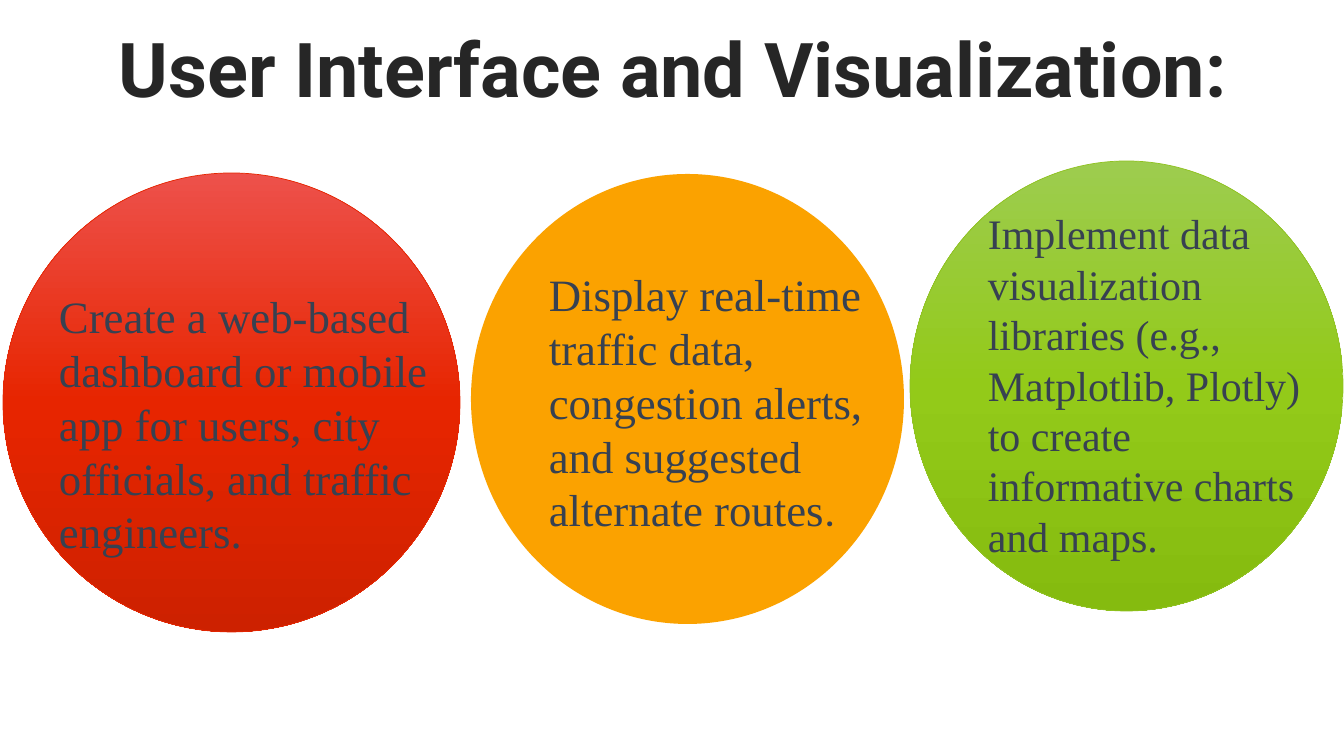
from copy import deepcopy

from pptx import Presentation
from pptx.dml.color import RGBColor
from pptx.enum.shapes import MSO_SHAPE
from pptx.enum.text import MSO_ANCHOR, PP_ALIGN
from pptx.oxml.ns import qn
from pptx.util import Emu, Pt

SCALE = 914400 / 100.8
COLORS = {
    "title": "262626",
    "body": "374151",
    "red": ["ED514B", "E72500", "CD2100"],
    "red line": "E62601",
    "orange": "FBA200",
    "green": ["9DCC4F", "93CA19", "85BB0F"],
    "green line": "90C221",
}
SERIF, SANS = "Times New Roman", "Roboto"


def px(*sizes):
    return [Emu(round(size * SCALE)) for size in sizes]


def rgb(name):
    return RGBColor.from_string(COLORS[name])


def add_text(slide, box, runs, size, color, bold=False):
    """Add a wrapped text box of (text, font) runs; return its frame."""
    frame = slide.shapes.add_textbox(*px(*box)).text_frame
    frame.word_wrap = True
    para = frame.paragraphs[0]
    for text, face in runs:
        run = para.add_run()
        run.text = text
        font = run.font
        font.name, font.size, font.bold = face, Pt(size), bold
        font.color.rgb = rgb(color)
    return frame


def add_title(slide, text):
    frame = add_text(slide, (35, 33, 1276, 80), [(text, SANS)], 54, "title", True)
    frame.vertical_anchor = MSO_ANCHOR.MIDDLE
    para = frame.paragraphs[0]
    para.alignment = PP_ALIGN.CENTER
    para.line_spacing = 0.9
    para.space_before = Pt(10)


def fill_fade(shape, shades):
    """Fill from top to bottom with evenly spaced shades."""
    shape.fill.gradient()
    shape.fill.gradient_angle = 270
    stops = shape.fill.gradient_stops
    stop_list = shape._element.spPr.find(qn("a:gradFill")).find(qn("a:gsLst"))
    for _ in range(len(shades) - len(stops)):
        stop_list.append(deepcopy(stop_list[0]))
    for i, (stop, shade) in enumerate(zip(shape.fill.gradient_stops, shades)):
        stop.position = i / (len(shades) - 1)
        stop.color.rgb = RGBColor.from_string(shade)


def add_disc(slide, box, color):
    disc = slide.shapes.add_shape(MSO_SHAPE.OVAL, *px(*box))
    disc.shadow.inherit = False
    if isinstance(COLORS[color], list):
        fill_fade(disc, COLORS[color])
        disc.line.color.rgb = rgb(color + " line")
        disc.line.width = Pt(0.5)
    else:
        disc.fill.solid()
        disc.fill.fore_color.rgb = rgb(color)
        disc.line.fill.background()


def main():
    deck = Presentation()
    deck.slide_width, deck.slide_height = px(1344, 756)
    slide = deck.slides.add_slide(deck.slide_layouts[6])

    add_title(slide, "User Interface and Visualization:")
    points = [
        ("red", (3, 173, 457, 459), (49, 284, 410, 281), 32, [
            ("Create a web-based dashboard or mobile app for users, "
             "city officials, and traffic engineers.", SERIF)]),
        ("orange", (471, 174, 433, 450), (539, 262, 407, 281), 32, [
            ("Display real-time traffic data, congestion alerts, "
             "and suggested alternate routes", SERIF), (".", SANS)]),
        ("green", (910, 161, 433, 450), (978, 203, 357, 378), 30, [
            ("Implement data visualization libraries (e.g., Matplotlib, Plotly) "
             "to create informative charts and maps.", SERIF)]),
    ]
    for color, disc, box, size, runs in points:
        add_disc(slide, disc, color)
        add_text(slide, box, runs, size, "body")

    deck.save("out.pptx")


if __name__ == "__main__":
    main()
